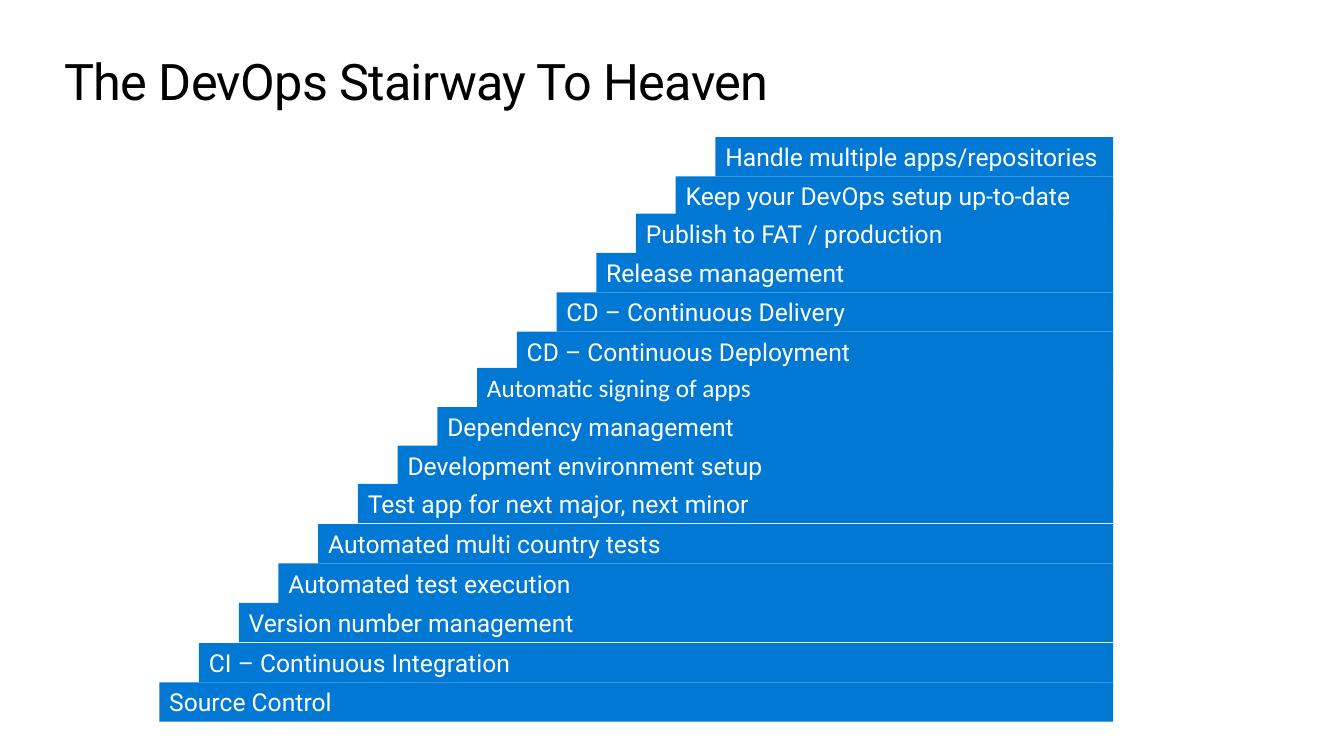
from dataclasses import dataclass

from pptx import Presentation
from pptx.dml.color import RGBColor
from pptx.enum.shapes import MSO_SHAPE
from pptx.enum.text import MSO_ANCHOR, MSO_AUTO_SIZE, PP_ALIGN
from pptx.util import Inches, Pt

RECTANGLE = MSO_SHAPE.RECTANGLE
LEFT = PP_ALIGN.LEFT
TOP = MSO_ANCHOR.TOP
MIDDLE = MSO_ANCHOR.MIDDLE
GROW = MSO_AUTO_SIZE.SHAPE_TO_FIT_TEXT
TITLE_ONLY = 5


@dataclass(frozen=True)
class Theme:
    step: RGBColor = RGBColor(0x00, 0x78, 0xD4)
    step_text: RGBColor = RGBColor(0xFF, 0xFF, 0xFF)
    title_text: RGBColor = RGBColor(0x00, 0x00, 0x00)
    font: str = "Roboto"
    alt_font: str = "Calibri"
    title_size: float = 36
    step_size: float = 17.6
    alt_size: float = 18


THEME = Theme()

FIRST_LEFT = 1.58
STEP_RUN = 0.394
STEP_HEIGHT = 0.39
STAIR_RIGHT = 11.04

SIGNING = "Automatic signing of apps"
STEPS = [
    ("Source Control", 6.77),
    ("CI – Continuous Integration", 6.38),
    ("Version number management", 5.98),
    ("Automated test execution", 5.59),
    ("Automated multi country tests", 5.2),
    ("Test app for next major, next minor", 4.8),
    ("Development environment setup", 4.42),
    ("Dependency management", 4.04),
    (SIGNING, 3.65),
    ("CD – Continuous Deployment", 3.29),
    ("CD – Continuous Delivery", 2.9),
    ("Release management", 2.51),
    ("Publish to FAT / production", 2.12),
    ("Keep your DevOps setup up-to-date", 1.75),
    ("Handle multiple apps/repositories", 1.36),
]


def add_run(tf, text, font, size, color):
    p = tf.paragraphs[0]
    p.alignment = LEFT
    r = p.add_run()
    r.text = text
    r.font.name = font
    r.font.size = Pt(size)
    r.font.color.rgb = color
    return r


def set_title(slide, text):
    sp = slide.shapes.title
    sp.left, sp.top = Inches(0.64), Inches(0.5)
    sp.width, sp.height = Inches(12.05), Inches(0.61)
    tf = sp.text_frame
    tf.margin_left = tf.margin_top = tf.margin_right = tf.margin_bottom = 0
    tf.vertical_anchor = TOP
    tf.word_wrap = True
    tf.auto_size = GROW
    r = add_run(tf, text, THEME.font, THEME.title_size, THEME.title_text)
    r.font._element.set("spc", "-50")


def add_step(slide, text, left, top):
    sp = slide.shapes.add_shape(
        RECTANGLE, Inches(left), Inches(top),
        Inches(STAIR_RIGHT - left), Inches(STEP_HEIGHT))
    sp.shadow.inherit = False
    sp.fill.solid()
    sp.fill.fore_color.rgb = THEME.step
    sp.line.fill.background()
    tf = sp.text_frame
    tf.word_wrap = True
    tf.margin_right = 0
    tf.vertical_anchor = MIDDLE
    if text == SIGNING:
        font, size = THEME.alt_font, THEME.alt_size
    else:
        font, size = THEME.font, THEME.step_size
    add_run(tf, text, font, size, THEME.step_text)


def main():
    prs = Presentation()
    prs.slide_width, prs.slide_height = Inches(13.33), Inches(7.5)
    slide = prs.slides.add_slide(prs.slide_layouts[TITLE_ONLY])
    set_title(slide, "The DevOps Stairway To Heaven")
    for i, (text, top) in enumerate(STEPS):
        add_step(slide, text, FIRST_LEFT + i * STEP_RUN, top)
    prs.save("out.pptx")


if __name__ == "__main__":
    main()
